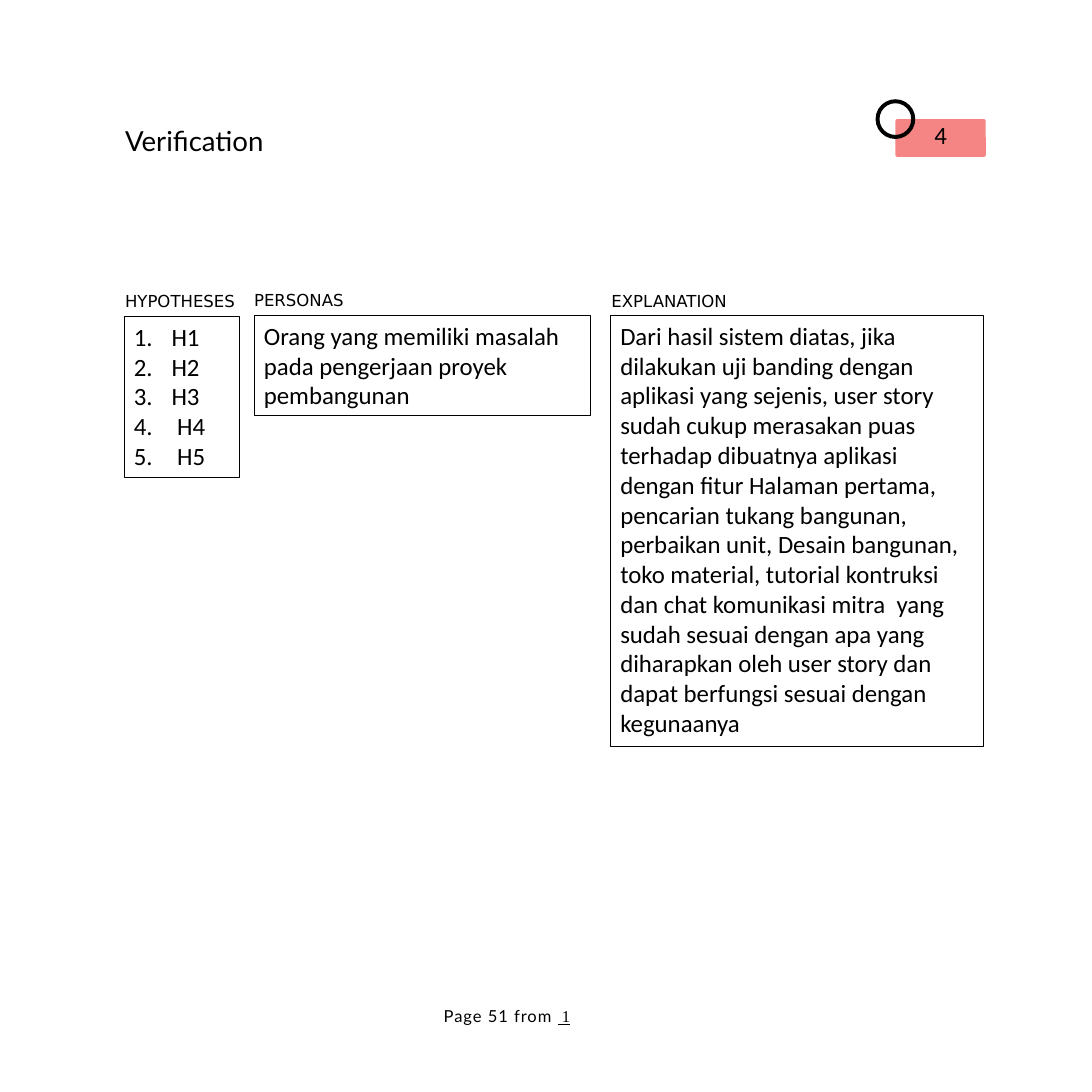
import pptx
import pptx.util
import pptx.dml.color
import pptx.enum.shapes
import pptx.enum.text
import lxml.etree
from pptx.util import Inches

BLACK = pptx.dml.color.RGBColor(0x00, 0x00, 0x00)
CORAL = pptx.dml.color.RGBColor(0xF5, 0x85, 0x85)
A = "{http://schemas.openxmlformats.org/drawingml/2006/main}"

deck = pptx.Presentation()
deck.slide_width = deck.slide_height = Inches(11)
slide = deck.slides.add_slide(deck.slide_layouts[5])
shapes = slide.shapes


def write(frame, text, size, face, margins=(0, 0, 0, 0)):
    """Fill a text frame and format all its runs."""
    frame.text = text
    frame.word_wrap = True
    frame.vertical_anchor = pptx.enum.text.MSO_ANCHOR.TOP
    frame.auto_size = pptx.enum.text.MSO_AUTO_SIZE.NONE
    (frame.margin_left, frame.margin_top,
     frame.margin_right, frame.margin_bottom) = map(Inches, margins)
    for paragraph in frame.paragraphs:
        for run in paragraph.runs:
            run.font.size = pptx.util.Pt(size)
            run.font.name = face
            run.font.color.rgb = BLACK


# Title
title = shapes.title
title.left, title.top = Inches(1.25), Inches(1.23)
title.width, title.height = Inches(5), Inches(0.35)
write(title.text_frame, "Verification", 20, "Lato", (0.01, 0.02, 0, 0))
title.text_frame.paragraphs[0].alignment = pptx.enum.text.PP_ALIGN.LEFT

# Number badge with a ring on its corner
badge = shapes.add_shape(pptx.enum.shapes.MSO_SHAPE.ROUNDED_RECTANGLE,
                         Inches(9.02), Inches(1.2), Inches(0.91), Inches(0.38))
badge.adjustments[0] = 0.05
write(badge.text_frame, "4", 18, "Calibri")
badge.text_frame.paragraphs[0].alignment = pptx.enum.text.PP_ALIGN.CENTER
ring = shapes.add_shape(pptx.enum.shapes.MSO_SHAPE.DONUT,
                        Inches(8.82), Inches(1), Inches(0.4), Inches(0.4))
ring.adjustments[0] = 0.1
for part, color in ((badge, CORAL), (ring, BLACK)):
    part.shadow.inherit = False
    part.fill.solid()
    part.fill.fore_color.rgb = color
    part.line.fill.background()

# Column headings
for heading, left, top, width in (("HYPOTHESES", 1.25, 2.91, 1.26),
                                  ("PERSONAS", 2.55, 2.9, 1.26),
                                  ("EXPLANATION", 6.15, 2.91, 1.26)):
    label = shapes.add_textbox(Inches(left), Inches(top), Inches(width), Inches(0.22))
    write(label.text_frame, heading, 12, "DejaVu Sans", (0.01, 0.02, 0, 0))

# Framed column contents
hypotheses = "H1\nH2\nH3\n H4\n H5"
personas = "Orang yang memiliki masalah pada pengerjaan proyek pembangunan"
explanation = (
    "Dari hasil sistem diatas, jika dilakukan uji banding dengan aplikasi yang "
    "sejenis, user story sudah cukup merasakan puas terhadap dibuatnya aplikasi "
    "dengan fitur Halaman pertama, pencarian tukang bangunan, perbaikan unit, "
    "Desain bangunan, toko material, tutorial kontruksi dan chat komunikasi "
    "mitra  yang sudah sesuai dengan apa yang diharapkan oleh user story dan "
    "dapat berfungsi sesuai dengan kegunaanya")
for content, left, top, width, height in (
        (hypotheses, 1.25, 3.19, 1.16, 1.62),
        (personas, 2.56, 3.18, 3.39, 1.01),
        (explanation, 6.15, 3.18, 3.76, 4.34)):
    column = shapes.add_textbox(Inches(left), Inches(top), Inches(width), Inches(height))
    column.line.color.rgb = BLACK
    column.line.width = pptx.util.Pt(0.75)
    write(column.text_frame, content, 18, "Calibri", (0.1, 0.05, 0.1, 0.05))
    if content == hypotheses:
        for hypothesis in column.text_frame.paragraphs:
            properties = hypothesis._p.get_or_add_pPr()
            properties.set("marL", str(Inches(0.38)))
            properties.set("indent", str(-Inches(0.38)))
            lxml.etree.SubElement(properties, A + "buAutoNum", type="arabicPeriod")

# Page footer: letterspaced text, then an underlined number running to a tab
footer = shapes.add_textbox(Inches(4.46), Inches(10.14), Inches(1.41), Inches(0.2))
write(footer.text_frame, "Page 51 from ", 12, "Lato", (0.01, 0, 0, 0))
page_line = footer.text_frame.paragraphs[0]
page_line.line_spacing = pptx.util.Pt(14.1)
tabs = lxml.etree.SubElement(page_line._p.get_or_add_pPr(), A + "tabLst")
lxml.etree.SubElement(tabs, A + "tab", pos=str(Inches(1.35)), algn="l")
page_line.runs[0].font._element.set("spc", "70")
total = page_line.add_run()
total.text = " 1\t"
total.font.size = pptx.util.Pt(12)
total.font.name = "Times New Roman"
total.font.color.rgb = BLACK
total.font.underline = True

deck.save("out.pptx")
